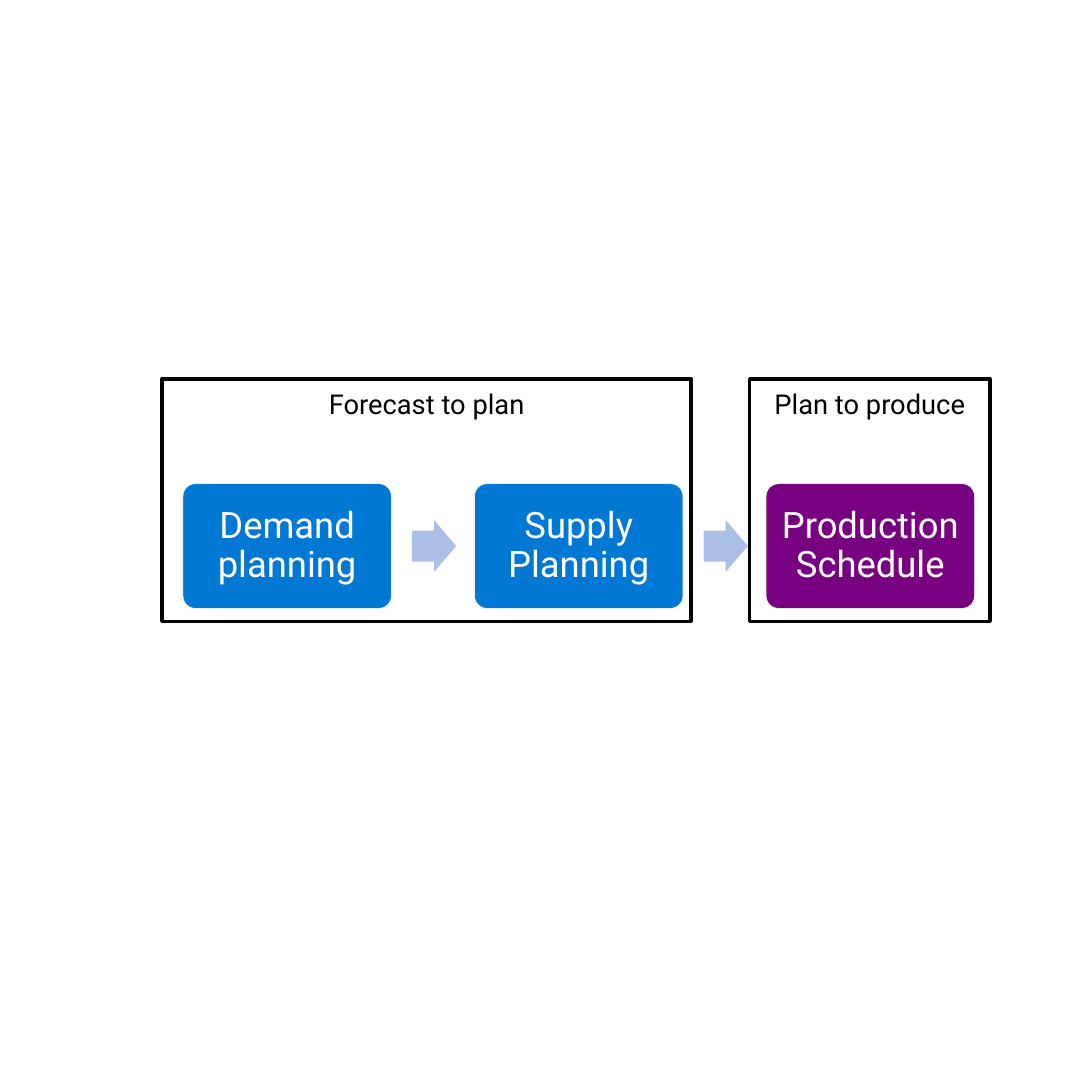
from dataclasses import dataclass

from pptx import Presentation
from pptx.dml.color import RGBColor
from pptx.enum.shapes import MSO_SHAPE
from pptx.enum.text import MSO_ANCHOR, PP_ALIGN
from pptx.util import Pt

ROUNDED, ARROW, RECT = (MSO_SHAPE.ROUNDED_RECTANGLE, MSO_SHAPE.RIGHT_ARROW,
                        MSO_SHAPE.RECTANGLE)
TOP, MIDDLE = MSO_ANCHOR.TOP, MSO_ANCHOR.MIDDLE
CENTER = PP_ALIGN.CENTER


@dataclass(frozen=True)
class Theme:
    font: str = "Roboto"
    step_size: int = 48
    stage_size: int = 36
    white: RGBColor = RGBColor(0xFF, 0xFF, 0xFF)
    black: RGBColor = RGBColor(0, 0, 0)
    blue: RGBColor = RGBColor(0x00, 0x78, 0xD4)
    purple: RGBColor = RGBColor(0x77, 0x01, 0x80)
    arrow: RGBColor = RGBColor(0xAB, 0xBE, 0xE6)


THEME = Theme()


def add_box(s, kind, box, fill=None, line=None, line_width=0):
    sp = s.shapes.add_shape(kind, *(Pt(v) for v in box))
    sp.shadow.inherit = False
    if fill is None:
        sp.fill.background()
    else:
        sp.fill.solid()
        sp.fill.fore_color.rgb = fill
    if line is None:
        sp.line.fill.background()
    else:
        sp.line.color.rgb = line
        sp.line.width = Pt(line_width)
    return sp


def write(sp, text, size, color, anchor, inset_x, inset_y, spacing=1.0):
    tf = sp.text_frame
    tf.word_wrap = True
    tf.vertical_anchor = anchor
    tf.margin_left = tf.margin_right = Pt(inset_x)
    tf.margin_top = tf.margin_bottom = Pt(inset_y)
    p = tf.paragraphs[0]
    p.alignment = CENTER
    p.line_spacing = spacing
    r = p.add_run()
    r.text = text
    r.font.name = THEME.font
    r.font.size = Pt(size)
    r.font.color.rgb = color


def add_process(s, box, steps):
    """Spread the steps evenly over the box, with an arrow in each gap."""
    left, top, width, height = box
    step_w, arrow_w, arrow_h = 275, 58.3, 68.2
    pitch = (width - step_w) / (len(steps) - 1)
    for i, (text, fill) in enumerate(steps):
        x = left + i * pitch
        sp = add_box(s, ROUNDED, (x, top, step_w, height), fill, THEME.white, 0.85)
        sp.adjustments[0] = 0.1
        write(sp, text, THEME.step_size, THEME.white, MIDDLE, 14.4, 14.4, 0.9)
        if i < len(steps) - 1:
            arrow_x = x + step_w + (pitch - step_w - arrow_w) / 2
            # The arrow sits slightly right of centre, nearer the next step's side.
            arrow = add_box(s, ARROW, (arrow_x + 1.5, top + (height - arrow_h) / 2,
                                       arrow_w, arrow_h), THEME.arrow)
            arrow.adjustments[0] = 0.6
            arrow.adjustments[1] = 0.5


def add_stage(s, box, title):
    sp = add_box(s, RECT, box, line=THEME.black, line_width=4.5)
    write(sp, title, THEME.stage_size, THEME.black, TOP, 14.4, 11.5)


def main():
    prs = Presentation()
    prs.slide_width = prs.slide_height = Pt(1440)
    s = prs.slides.add_slide(prs.slide_layouts[6])
    add_process(s, (241.2, 637.8, 1044, 164.5), [
        ("Demand planning", THEME.blue),
        ("Supply Planning", THEME.blue),
        ("Production Schedule", THEME.purple),
    ])
    for title, left, width in [("Forecast to plan", 213.8, 697.7),
                               ("Plan to produce", 988.6, 316.8)]:
        add_stage(s, (left, 499.7, width, 319.7), title)
    prs.save("out.pptx")


if __name__ == "__main__":
    main()
